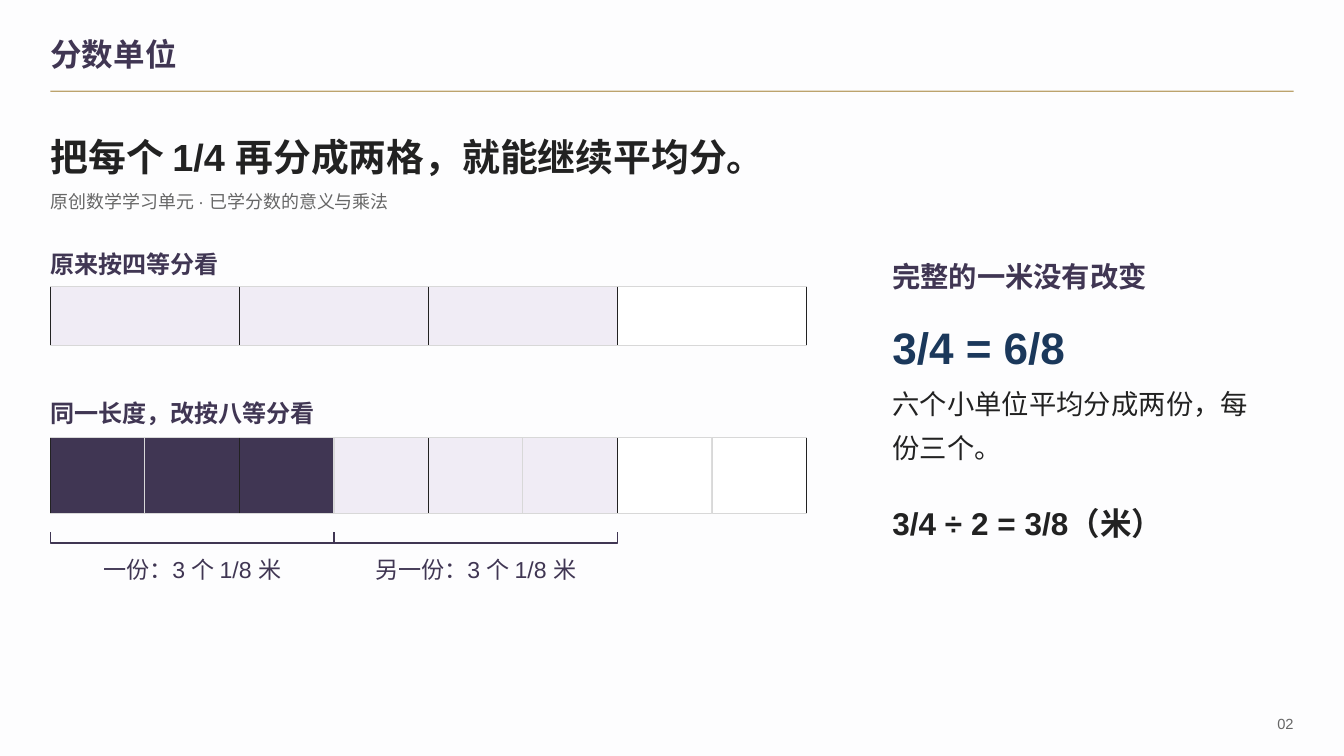
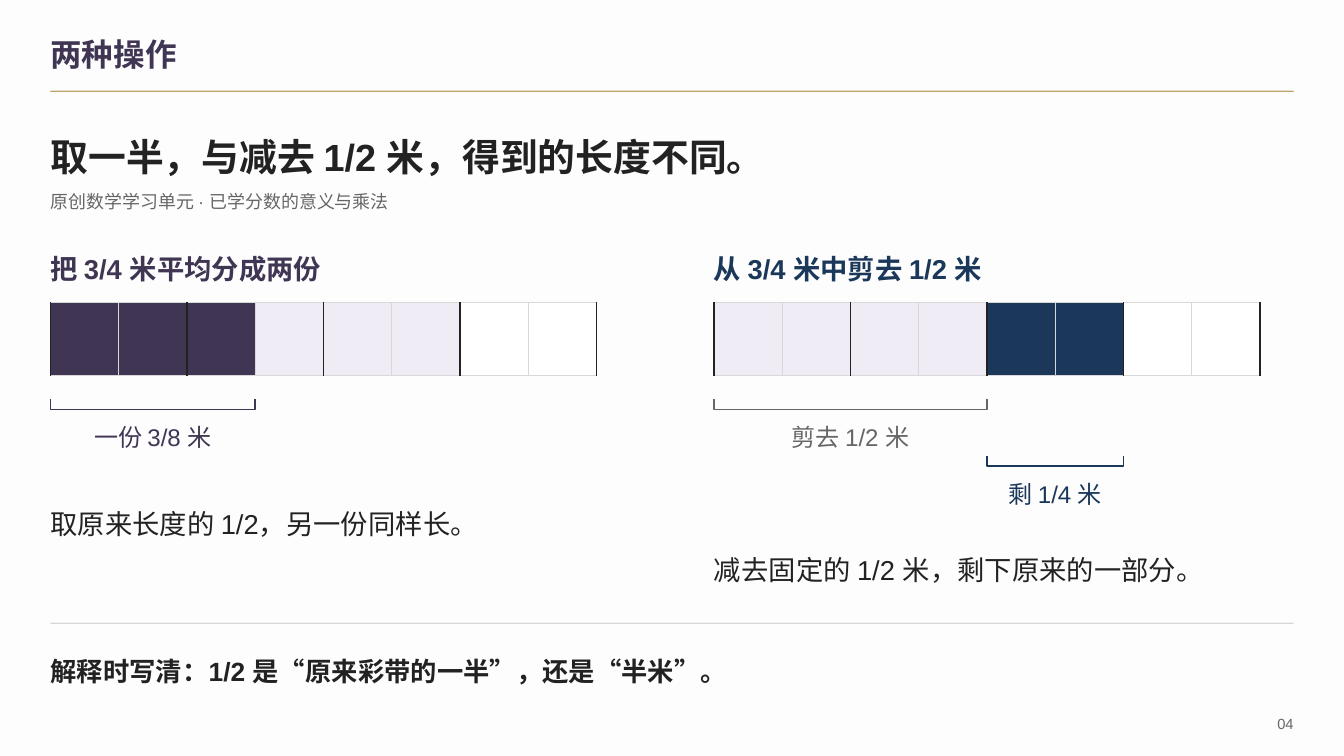
from collections import namedtuple
from pptx import Presentation
from pptx.dml.color import RGBColor
from pptx.enum.shapes import MSO_CONNECTOR as CONN, MSO_SHAPE as SHAPE
from pptx.enum.text import MSO_ANCHOR as ANCHOR, MSO_AUTO_SIZE as FIT, PP_ALIGN as ALIGN
from pptx.oxml.ns import qn
from pptx.util import Inches, Pt

# Square grid: 128 columns by 72 rows
COLS, ROWS = 128, 72
W, H = Inches(13.3333), Inches(7.5)
PLUM, NAVY, LILAC, WHITE = "403653", "1B385B", "F0ECF5", "FFFFFF"
INK, GREY, PALE, GOLD, PAPER = "222222", "666666", "D8D8D8", "BCA36D", "FDFDFE"
FONT = "Arial"
SUBTITLE = "原创数学学习单元 · 已学分数的意义与乘法"
Box = namedtuple("Box", "x y w h")
PAGE = Box(4.8, 0, 118.4, ROWS)


def gx(col):
    return round(W * col / COLS)


def gy(row):
    return round(H * row / ROWS)


def emu(box):
    return gx(box.x), gy(box.y), gx(box.w), gy(box.h)


def rgb(value):
    return RGBColor.from_string(value)


def line_style(sp, color, width):
    sp.line.color.rgb = rgb(color)
    sp.line.width = Pt(width)


def add_text(s, box, text, size, color=INK, bold=False, spacing=1.35,
             align=ALIGN.LEFT, anchor=ANCHOR.TOP):
    tf = s.shapes.add_textbox(*emu(box)).text_frame
    frame = dict(margin_left=0, margin_right=0, margin_top=0, margin_bottom=0,
                 word_wrap=True, auto_size=FIT.SHAPE_TO_FIT_TEXT, vertical_anchor=anchor)
    for name, value in frame.items():
        setattr(tf, name, value)
    p = tf.paragraphs[0]
    p.alignment, p.line_spacing = align, spacing
    r = p.add_run()
    r.text = text
    for name, value in dict(name=FONT, size=Pt(size), bold=bold).items():
        setattr(r.font, name, value)
    r.font.color.rgb = rgb(color)


def add_rect(s, box, fill, line=None):
    sp = s.shapes.add_shape(SHAPE.RECTANGLE, *emu(box))
    sp.shadow.inherit = False
    sp.fill.solid()
    sp.fill.fore_color.rgb = rgb(fill)
    if line:
        line_style(sp, line, 0.56)
    else:
        sp.line.fill.background()


def add_rule(s, row, color):
    add_rect(s, Box(PAGE.x, row, PAGE.w, 0.12), color)


def add_bar(s, box, fills):
    """Equal cells in the given fills, with a dark mark at each quarter."""
    cell, quarter = box.w / len(fills), box.w / 4
    for i, fill in enumerate(fills):
        add_rect(s, Box(box.x + i * cell, box.y, cell, box.h), fill, PALE)
    for i in range(5):
        x = gx(box.x + i * quarter)
        mark = s.shapes.add_connector(CONN.STRAIGHT, x, gy(box.y), x, gy(box.y + box.h))
        line_style(mark, INK, 0.97)
        sp_pr = mark._element.spPr
        sp_pr.append(sp_pr.makeelement(qn("a:effectLst"), {}))


def add_bracket(s, bar, first, last, drop, text, size, color, label_w):
    """Bracket under eighths first..last of a bar, with a centred label."""
    left, right = (bar.x + bar.w * n / 8 for n in (first, last))
    top = bar.y + bar.h + drop
    points = [(gx(x), gy(y)) for x, y in
              ((left, top), (left, top + 1), (right, top + 1), (right, top))]
    outline = s.shapes.build_freeform(*points[0])
    outline.add_line_segments(points[1:], close=False)
    sp = outline.convert_to_shape()
    sp.shadow.inherit = False
    sp.fill.background()
    line_style(sp, color, 1.12)
    label = Box((left + right - label_w) / 2, top + 1.7, label_w, 3.3)
    add_text(s, label, text, size, color, spacing=1.2, align=ALIGN.CENTER)


def add_page(prs, title, headline, number):
    """Blank slide with the shared title band, headline and page number."""
    s = prs.slides.add_slide(prs.slide_layouts[6])
    add_rule(s, 8.64, GOLD)
    add_text(s, Box(PAGE.x, 3, 101, 4.3), title, 22.5, PLUM, True, 1, anchor=ANCHOR.MIDDLE)
    add_text(s, Box(PAGE.x, 11.2, PAGE.w, 5.5), headline, 27, bold=True)
    add_text(s, Box(PAGE.x, 17.1, PAGE.w, 3.2), SUBTITLE, 12.8, GREY, spacing=1.5)
    add_text(s, Box(119, 67.7, 4.2, 2.4), number, 10.5, GREY, spacing=1,
             align=ALIGN.RIGHT, anchor=ANCHOR.MIDDLE)
    return s


def unit_figure(s, box):
    """The same length cut into quarters, then into eighths."""
    quarters = Box(box.x, box.y + 4.5, box.w, 5.6)
    eighths = Box(box.x, box.y + 18.9, box.w, 7.2)
    rows = [("原来按四等分看", 0, quarters, [LILAC] * 3 + [WHITE]),
            ("同一长度，改按八等分看", 14.2, eighths, [PLUM] * 3 + [LILAC] * 3 + [WHITE] * 2)]
    for text, dy, bar, fills in rows:
        add_text(s, Box(box.x, box.y + dy, box.w, 3.7), text, 17.2, PLUM, True)
        add_bar(s, bar, fills)
    for first, name in ((0, "一份"), (3, "另一份")):
        add_bracket(s, eighths, first, first + 3, 1.8, name + "：3 个 1/8 米", 16.5, PLUM, 30)


def reasoning(s, box):
    """Column of statements beside the figure."""
    for dy, h, text, size, color, bold in (
            (0, 4.2, "完整的一米没有改变", 20.2, PLUM, True),
            (5.2, 6.2, "3/4 = 6/8", 31.5, NAVY, True),
            (12.2, 7.6, "六个小单位平均分成两份，每份三个。", 19.5, INK, False),
            (23.1, 4.6, "3/4 ÷ 2 = 3/8（米）", 22.5, INK, True)):
        add_text(s, Box(box.x, box.y + dy, box.w, h), text, size, color, bold)


def operation_panel(s, box, heading, color, fills, brackets, note, note_dy):
    """Heading, bar with brackets, and a closing sentence."""
    bar = Box(box.x, box.y + 5.9, box.w, 7)
    add_text(s, Box(box.x, box.y, box.w, 4.1), heading, 19.5, color, True)
    add_bar(s, bar, fills)
    for first, last, drop, text, tint, label_w in brackets:
        add_bracket(s, bar, first, last, drop, text, 17.2, tint, label_w)
    add_text(s, Box(box.x, box.y + note_dy, box.w, 4.1), note, 19.5)


def unit_slide(prs):
    s = add_page(prs, "分数单位", "把每个 1/4 再分成两格，就能继续平均分。", "02")
    unit_figure(s, Box(PAGE.x, 22.8, 72, 33))
    reasoning(s, Box(85, 23.6, 35, 28))


def operations_slide(prs):
    s = add_page(prs, "两种操作", "取一半，与减去 1/2 米，得到的长度不同。", "04")
    operation_panel(s, Box(PAGE.x, 22.9, 52, 33), "把 3/4 米平均分成两份", PLUM,
                    [PLUM] * 3 + [LILAC] * 3 + [WHITE] * 2,
                    [(0, 3, 2.2, "一份 3/8 米", PLUM, 24)],
                    "取原来长度的 1/2，另一份同样长。", 24.3)
    operation_panel(s, Box(68, 22.9, 52, 33), "从 3/4 米中剪去 1/2 米", NAVY,
                    [LILAC] * 4 + [NAVY] * 2 + [WHITE] * 2,
                    [(0, 4, 2.2, "剪去 1/2 米", GREY, 26),
                     (4, 6, 7.6, "剩 1/4 米", NAVY, 22)],
                    "减去固定的 1/2 米，剩下原来的一部分。", 28.7)
    # Conclusion strip
    add_rule(s, 59.3, PALE)
    add_text(s, Box(PAGE.x, 61.4, PAGE.w, 3.9),
             "解释时写清：1/2 是“原来彩带的一半”，还是“半米”。", 18.8, bold=True)


def main():
    prs = Presentation()
    prs.slide_width, prs.slide_height = W, H
    fill = prs.slide_master.background.fill
    fill.solid()
    fill.fore_color.rgb = rgb(PAPER)
    unit_slide(prs)
    operations_slide(prs)
    prs.save("out.pptx")


if __name__ == "__main__":
    main()
